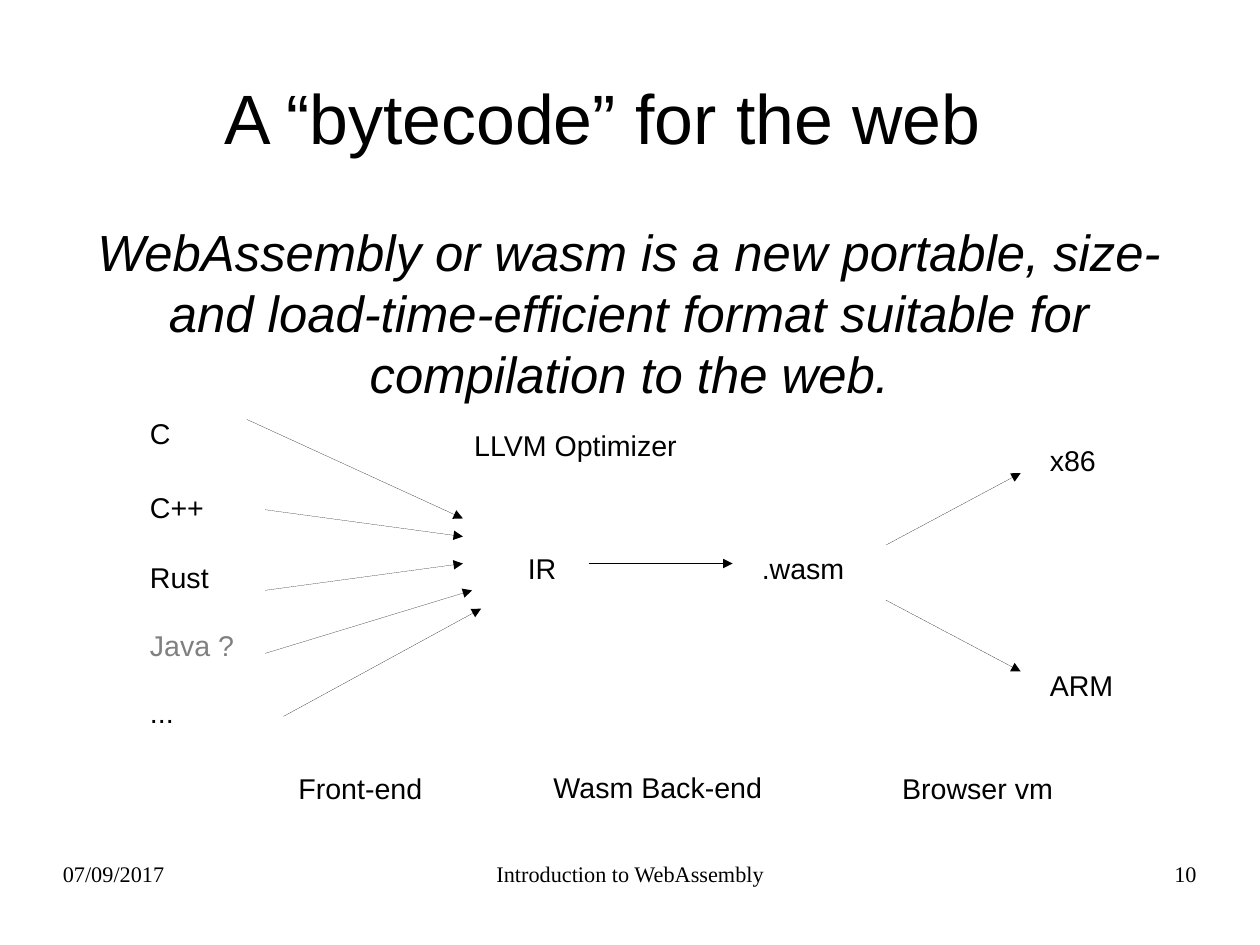
from dataclasses import dataclass
from lxml import etree
from pptx import Presentation
from pptx.dml.color import RGBColor
from pptx.enum.shapes import MSO_CONNECTOR
from pptx.enum.text import MSO_ANCHOR, MSO_AUTO_SIZE, PP_ALIGN
from pptx.oxml.ns import qn
from pptx.util import Pt

STRAIGHT = MSO_CONNECTOR.STRAIGHT
LEFT, CENTER, RIGHT = PP_ALIGN.LEFT, PP_ALIGN.CENTER, PP_ALIGN.RIGHT
TOP, MIDDLE = MSO_ANCHOR.TOP, MSO_ANCHOR.MIDDLE
FIXED, GROW = MSO_AUTO_SIZE.NONE, MSO_AUTO_SIZE.SHAPE_TO_FIT_TEXT


@dataclass(frozen=True)
class Theme:
    sans: str = "Arial"
    serif: str = "Times New Roman"
    ink: RGBColor = RGBColor(0, 0, 0)
    faint: RGBColor = RGBColor(128, 128, 128)
    title: int = 44
    body: int = 32
    label: int = 18
    foot: int = 14


THEME = Theme()
WIDE, HIGH = 793.7, 595.28
EDGE, SPAN = 39.6, 714.2

TITLE = "A “bytecode” for the web"
BODY = ("WebAssembly or wasm is a new portable, size- and load-time-efficient "
        "format suitable for compilation to the web.")

LANG_X, CHIP_X = 87.4, 654.2
LANGS = [
    ("C", 258.3, 30, THEME.ink),
    ("C++", 305, 53, THEME.ink),
    ("Rust", 349, 70, THEME.ink),
    ("Java ?", 392.2, 75, THEME.faint),
    ("...", 434, 75, THEME.ink),
]
CHIPS = [("x86", 275.5, 45), ("ARM", 417.3, 56)]
STAGES = [
    ("LLVM Optimizer", 291.6, 266.2, 144),
    ("IR", 325.4, 343.2, 34),
    (".wasm", 472.8, 343.2, 68),
    ("Front-end", 180.9, 482, 104),
    ("Wasm Back-end", 341.6, 481.2, 150),
    ("Browser vm", 561.2, 482, 127),
]
ARROWS = [
    (155.5, 264.2, 291.6, 326.6),
    (167, 321.1, 291.6, 338),
    (167, 371.9, 291.6, 355),
    (167, 411.6, 297.4, 371.9),
    (178.6, 451.3, 303.1, 383.4),
    (370.8, 355, 461.5, 355),
    (558, 343.4, 643, 298),
    (558, 378, 643, 423),
]
FOOT_Y, FOOT_H = 542.2, 41
FEET = [
    ("07/09/2017", EDGE, 185, LEFT),
    ("Introduction to WebAssembly", 271.4, 251.3, CENTER),
    ("10", 568.8, 185, RIGHT),
]


def place(shape, x, y, w, h):
    shape.left, shape.top = Pt(x), Pt(y)
    shape.width, shape.height = Pt(w), Pt(h)


def write(shape, text, size, face=THEME.sans, color=THEME.ink, align=LEFT,
          pad=(0, 0), anchor=TOP, wrap=True, fit=FIXED):
    frame = shape.text_frame
    frame.margin_left = frame.margin_right = Pt(pad[0])
    frame.margin_top = frame.margin_bottom = Pt(pad[1])
    frame.vertical_anchor = anchor
    frame.word_wrap = wrap
    frame.auto_size = fit
    para = frame.paragraphs[0]
    para.text = text
    para.alignment = align
    para.space_before = Pt(0)
    props = para._p.get_or_add_pPr()
    props.set("marL", "0")
    props.set("indent", "0")
    etree.SubElement(props, qn("a:buNone"))
    font = para.font
    font.name, font.size = face, Pt(size)
    font.color.rgb = color
    return para


def label(slide, text, x, y, w, color=THEME.ink):
    box = slide.shapes.add_textbox(Pt(x), Pt(y), Pt(w), Pt(27.4))
    write(box, text, THEME.label, color=color, pad=(7.2, 3.6),
          wrap=False, fit=GROW)


def arrow(slide, ends):
    link = slide.shapes.add_connector(STRAIGHT, *map(Pt, ends))
    link.line.color.rgb = THEME.ink
    props = link._element.spPr
    line = props.find(qn("a:ln"))
    line.set("w", "0")
    tip = etree.SubElement(line, qn("a:tailEnd"))
    tip.set("type", "triangle")
    etree.SubElement(props, qn("a:effectLst"))


def main():
    deck = Presentation()
    deck.slide_width, deck.slide_height = Pt(WIDE), Pt(HIGH)
    slide = deck.slides.add_slide(deck.slide_layouts[1])

    title, body = slide.shapes.title, slide.placeholders[1]
    place(title, EDGE, 23.8, 680.4, 99.4)
    write(title, TITLE, THEME.title, align=CENTER, anchor=MIDDLE)
    place(body, EDGE, 139, SPAN, 344.9)
    para = write(body, BODY, THEME.body, align=CENTER)
    para.font.italic = True

    for text, y, w, color in LANGS:
        label(slide, text, LANG_X, y, w, color)
    for text, y, w in CHIPS:
        label(slide, text, CHIP_X, y, w)
    for stage in STAGES:
        label(slide, *stage)
    for ends in ARROWS:
        arrow(slide, ends)
    for text, x, w, align in FEET:
        box = slide.shapes.add_textbox(Pt(x), Pt(FOOT_Y), Pt(w), Pt(FOOT_H))
        write(box, text, THEME.foot, face=THEME.serif, align=align)

    deck.save("out.pptx")


if __name__ == "__main__":
    main()
